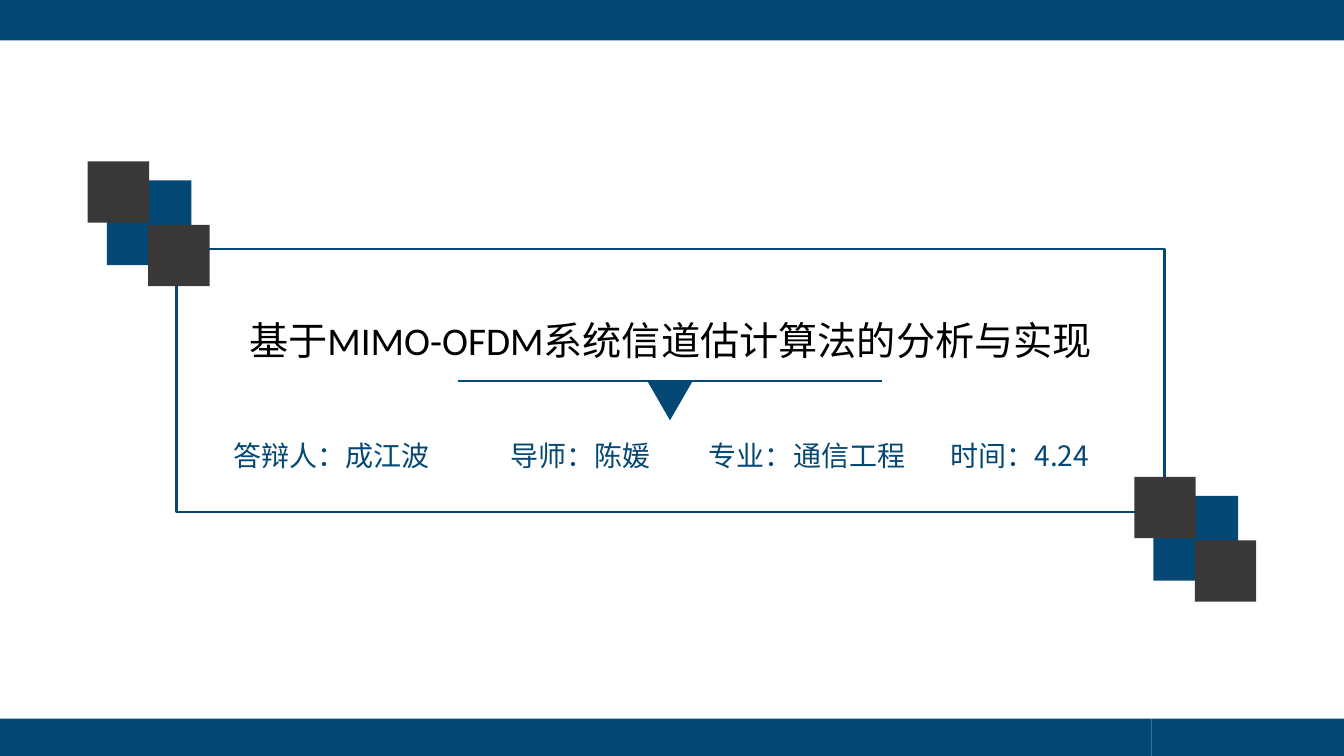
from lxml.etree import SubElement
from pptx import Presentation
from pptx.dml.color import RGBColor
from pptx.enum.shapes import MSO_CONNECTOR, MSO_SHAPE
from pptx.enum.text import MSO_ANCHOR, PP_ALIGN
from pptx.oxml.ns import qn
from pptx.util import Inches, Pt

BLUE = RGBColor(0x04, 0x48, 0x75)
CHARCOAL = RGBColor(0x3B, 0x38, 0x38)
BLACK = RGBColor(0, 0, 0)
CJK_FONT = "Noto Sans CJK SC"
WIDTH, HEIGHT = 13.33, 7.5

deck = Presentation()
deck.slide_width, deck.slide_height = Inches(WIDTH), Inches(HEIGHT)
slide = deck.slides.add_slide(deck.slide_layouts[6])


def add_text(text, left, top, width, height, size, color, font=CJK_FONT):
    box = slide.shapes.add_textbox(*map(Inches, (left, top, width, height)))
    frame = box.text_frame
    frame.word_wrap = True
    frame.vertical_anchor = MSO_ANCHOR.TOP
    paragraph = frame.paragraphs[0]
    paragraph.alignment = PP_ALIGN.CENTER
    run = paragraph.add_run()
    run.text = text
    run.font.size = Pt(size)
    run.font.name = font
    run.font.color.rgb = color
    SubElement(run.font._element, qn("a:ea")).set("typeface", CJK_FONT)


def add_block(left, top, width, height, fill=None, kind=MSO_SHAPE.RECTANGLE):
    block = slide.shapes.add_shape(kind, *map(Inches, (left, top, width, height)))
    block.shadow.inherit = False
    if fill is None:
        block.fill.background()
        block.line.color.rgb = BLUE
        block.line.width = Pt(2)
    else:
        block.fill.solid()
        block.fill.fore_color.rgb = fill
        block.line.fill.background()
    return block


# Title
add_text("基于MIMO-OFDM系统信道估计算法的分析与实现",
         2.18, 3.09, 8.94, 1.04, 28, BLACK, font="Calibri")

# Divider with a downward pointer
divider_y = 3.78
divider = slide.shapes.add_connector(
    MSO_CONNECTOR.STRAIGHT, *map(Inches, (4.54, divider_y, 8.75, divider_y)))
divider.line.color.rgb = BLUE
divider.line.width = Pt(2)
SubElement(divider._element.spPr, qn("a:effectLst"))
pointer = add_block(6.42, divider_y, 0.45, 0.39, BLUE, MSO_SHAPE.ISOSCELES_TRIANGLE)
pointer._element.spPr.find(qn("a:xfrm")).set("flipV", "1")

# Defence details in one row
details = [
    ("答辩人：成江波", 1.67, 3.24),
    ("导师：陈媛", 4.36, 2.8),
    ("专业：通信工程", 6.6, 2.81),
    ("时间：4.24", 8.85, 2.53),
]
for detail, left, width in details:
    add_text(detail, left, 4.3, width, 0.44, 20, BLUE)

# Frame
add_block(1.75, 2.47, 9.8, 2.61)

# Corner ornaments: a blue square overlapped by two dark ones
large, small = 0.84, 0.61
for left, top in [(11.25, 4.73), (0.87, 1.6)]:
    add_block(left + 0.19, top + 0.19, large, large, BLUE)
    add_block(left, top, small, small, CHARCOAL)
    add_block(left + 0.6, top + 0.63, small, small, CHARCOAL)

# Top band, and bottom band in two parts
footer_height, footer_split = 0.37, 11.42
footer_top = HEIGHT - footer_height
add_block(0, -0.01, WIDTH, 0.41, BLUE)
add_block(footer_split, footer_top, WIDTH - footer_split, footer_height, BLUE)
add_block(0, footer_top, footer_split, footer_height, BLUE)

deck.save("out.pptx")
